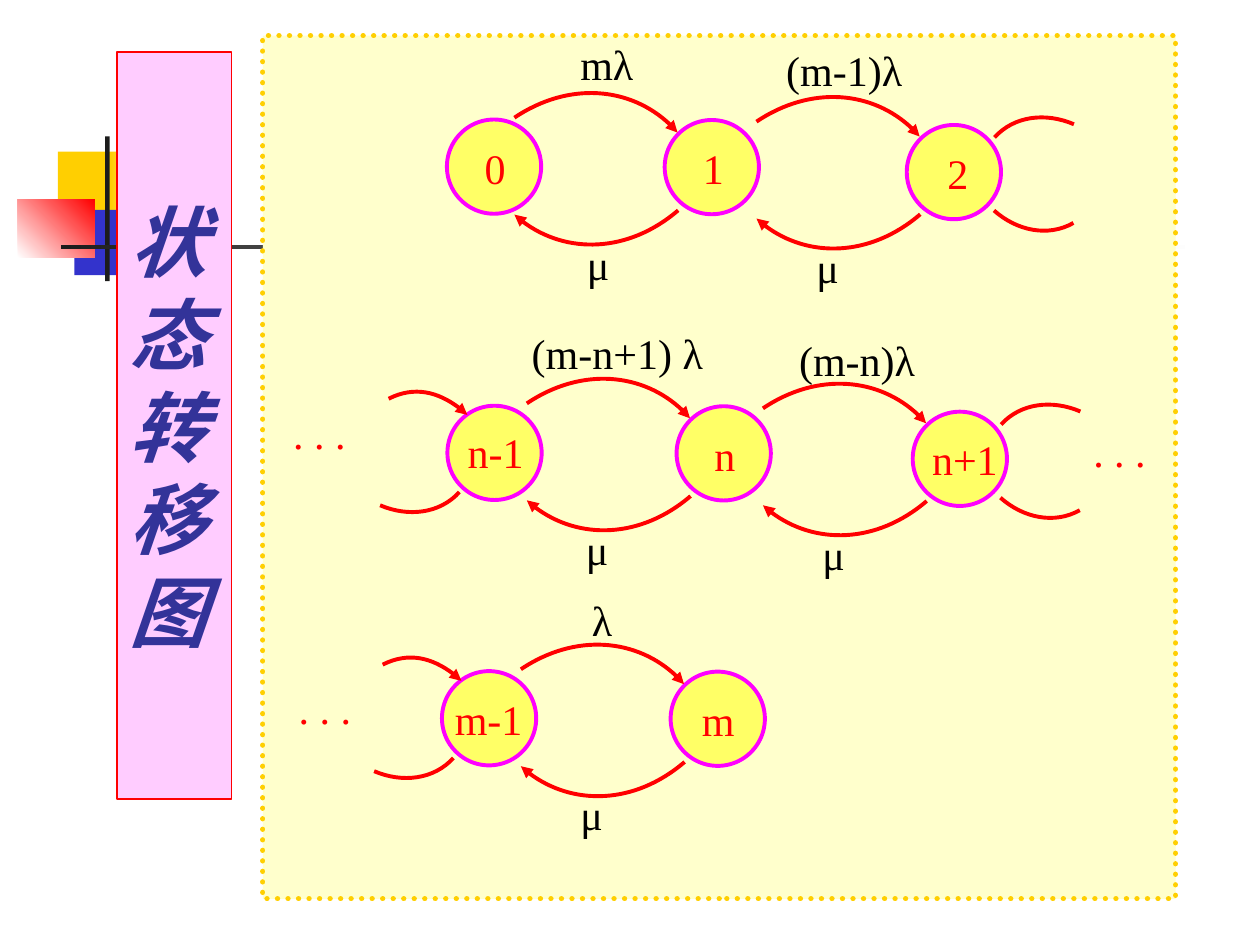
from lxml import etree
from pptx import Presentation
from pptx.dml.color import RGBColor
from pptx.enum.dml import MSO_LINE
from pptx.enum.shapes import MSO_SHAPE
from pptx.enum.text import MSO_ANCHOR, PP_ALIGN
from pptx.oxml.ns import qn
from pptx.util import Cm, Pt

RECT, OVAL = MSO_SHAPE.RECTANGLE, MSO_SHAPE.OVAL
DOTS = MSO_LINE.ROUND_DOT
MIDDLE, LEFT = MSO_ANCHOR.MIDDLE, PP_ALIGN.LEFT

HUES = {
    "gold": "FFCF01", "blue": "3333CC", "red": "FF0000", "dark": "1C1C1C",
    "white": "FFFFFF", "cream": "FFFFCC", "pink": "FFCCFF", "navy": "333399",
    "lemon": "FFFF66", "violet": "FF00FF", "black": "000000",
}
RGB = {name: RGBColor.from_string(code) for name, code in HUES.items()}
BODY = {"size": Pt(24), "name": "Times New Roman"}
HEAD = {"size": Pt(44), "name": "Roboto", "bold": True, "italic": True}

deck = Presentation()
deck.slide_width, deck.slide_height = Cm(25.4), Cm(19.05)
slide = deck.slides.add_slide(deck.slide_layouts[6])
shapes = slide.shapes


def draw(kind, box, fill, line=None, width=0):
    """Add a flat shape; a fill of two hues and an angle is a gradient."""
    shape = shapes.add_shape(kind, *map(Cm, box))
    shape.shadow.inherit = False
    if isinstance(fill, tuple):
        first, last, angle = fill
        shape.fill.gradient()
        shape.fill.gradient_angle = angle
        for stop, hue in zip(shape.fill.gradient_stops, (first, last)):
            stop.color.rgb = RGB[hue]
    else:
        shape.fill.solid()
        shape.fill.fore_color.rgb = RGB[fill]
    if line:
        shape.line.color.rgb = RGB[line]
        shape.line.width = Pt(width)
    else:
        shape.line.fill.background()
    return shape


def write(shape, text, hue, style):
    frame = shape.text_frame
    frame.word_wrap = True
    para = frame.paragraphs[0]
    para.text = text
    para.alignment = LEFT
    for run in para.runs:
        run.font.color.rgb = RGB[hue]
        for key, value in style.items():
            setattr(run.font, key, value)


# Corner ornament
for box, fill in [
    ((1.17, 3.06, 1.22, 1.32), "gold"),
    ((2.24, 3.06, 0.91, 1.32), ("gold", "white", 0)),
    ((1.5, 4.23, 1.17, 1.32), "blue"),
    ((0.36, 4.02, 1.55, 1.17), ("white", "red", 45)),
    ((2.12, 2.75, 0.09, 2.92), "dark"),
    ((1.23, 4.94, 22.86, 0.09), ("dark", "white", 0)),
]:
    draw(RECT, box, fill)

# Panel and upright title
panel = draw(RECT, (5.3, 0.72, 18.4, 17.4), "cream", "gold", 3)
panel.line.dash_style = DOTS
panel.line._get_or_add_ln().set("cap", "rnd")
title = draw(RECT, (2.36, 1.05, 2.31, 15.06), "pink", "red", 1)
title.text_frame.vertical_anchor = MIDDLE
write(title, "\v".join("状态转移图"), "navy", HEAD)

# States
for left, top in [
    (9.01, 2.41), (13.4, 2.42), (18.28, 2.52),
    (9.02, 8.18), (13.64, 8.19), (18.4, 8.3),
    (8.91, 13.53), (13.52, 13.54),
]:
    draw(OVAL, (left, top, 1.9, 1.9), "lemon", "violet", 2.25)

# Arcs: one long and one short curve, turned about the middle of a box
# that reaches from the hub at its corner to the curve
LONG = [(2.36, 0.38), (2.21, 1.7), (1.19, 2.69), (0, 2.69)]
SHORT = [(1.4, 0.17), (1.31, 0.75), (0.82, 1.16), (0.21, 1.27)]
# Curve, shift from the upper box, turn, arrowhead
PAIRS = {
    "link": [(LONG, 0, 0, 229.6, True), (LONG, 0.28, 1.5, 42.9, True)],
    "right": [(SHORT, 0, 0, 213.4, False), (SHORT, -0.05, 1.47, 51.7, False)],
    "left": [(SHORT, 0, 0, 234.4, True), (SHORT, -0.2, 1.59, 33.3, False)],
}
STARTS = [
    ("link", 10.69, 1.3), ("link", 15.57, 1.38), ("right", 20.19, 2.13),
    ("left", 7.92, 7.7), ("link", 10.94, 7.06), ("link", 15.7, 7.16),
    ("right", 20.32, 7.92), ("left", 7.8, 13.06), ("link", 10.82, 12.42),
]
for pair, left, top in STARTS:
    for curve, across, down, turn, arrow in PAIRS[pair]:
        hub_x, hub_y = left + across, top + down
        spots = [(Cm(hub_x + x), Cm(hub_y + y)) for x, y in curve]
        pen = shapes.build_freeform(Cm(hub_x), Cm(hub_y))
        pen.move_to(*spots[0])
        pen.add_line_segments(spots[1:], close=False)
        arc = pen.convert_to_shape()
        arc.rotation = turn
        arc.shadow.inherit = False
        arc.fill.background()
        arc.line.color.rgb = RGB["red"]
        arc.line.width = Pt(2.25)
        # Drop the hub, then join the straight steps into one Bezier curve
        trace = next(arc._element.iter(qn("a:path")))
        trace.remove(trace[0])
        steps = trace.findall(qn("a:lnTo"))
        bend = etree.SubElement(trace, qn("a:cubicBezTo"))
        for step in steps:
            bend.append(step[0])
            trace.remove(step)
        if arrow:
            line = arc.line._get_or_add_ln()
            etree.SubElement(line, qn("a:tailEnd"), type="triangle")

# State names, rates and dots: text, left, top, width
LABELS = {
    "red": [
        ("0", 9.52, 2.74, 0.86), ("1", 13.92, 2.74, 0.86),
        ("2", 18.85, 2.84, 1.98), ("n-1", 9.18, 8.47, 2.41),
        ("n", 14.15, 8.53, 0.86), ("n+1", 18.54, 8.61, 2.41),
        ("m-1", 8.92, 13.86, 2.08), ("m", 13.9, 13.87, 1.22),
        (". . .", 5.66, 8.1, 1.83), (". . .", 21.79, 8.46, 1.83),
        (". . .", 5.77, 13.64, 1.83),
    ],
    "black": [
        ("mλ", 11.45, 0.66, 1.83), ("μ", 11.58, 4.69, 1.19),
        ("(m-1)λ", 15.6, 0.78, 3.25), ("μ", 16.21, 4.75, 1.19),
        ("(m-n+1) λ", 10.47, 6.47, 4.17), ("μ", 11.56, 10.42, 1.19),
        ("(m-n)λ", 15.86, 6.61, 3.45), ("μ", 16.33, 10.52, 1.19),
        ("λ", 11.68, 11.86, 1.14), ("μ", 11.45, 15.77, 1.19),
    ],
}
for hue, labels in LABELS.items():
    for text, left, top, width in labels:
        box = shapes.add_textbox(Cm(left), Cm(top), Cm(width), Cm(1.27))
        write(box, text, hue, BODY)

deck.save("out.pptx")
